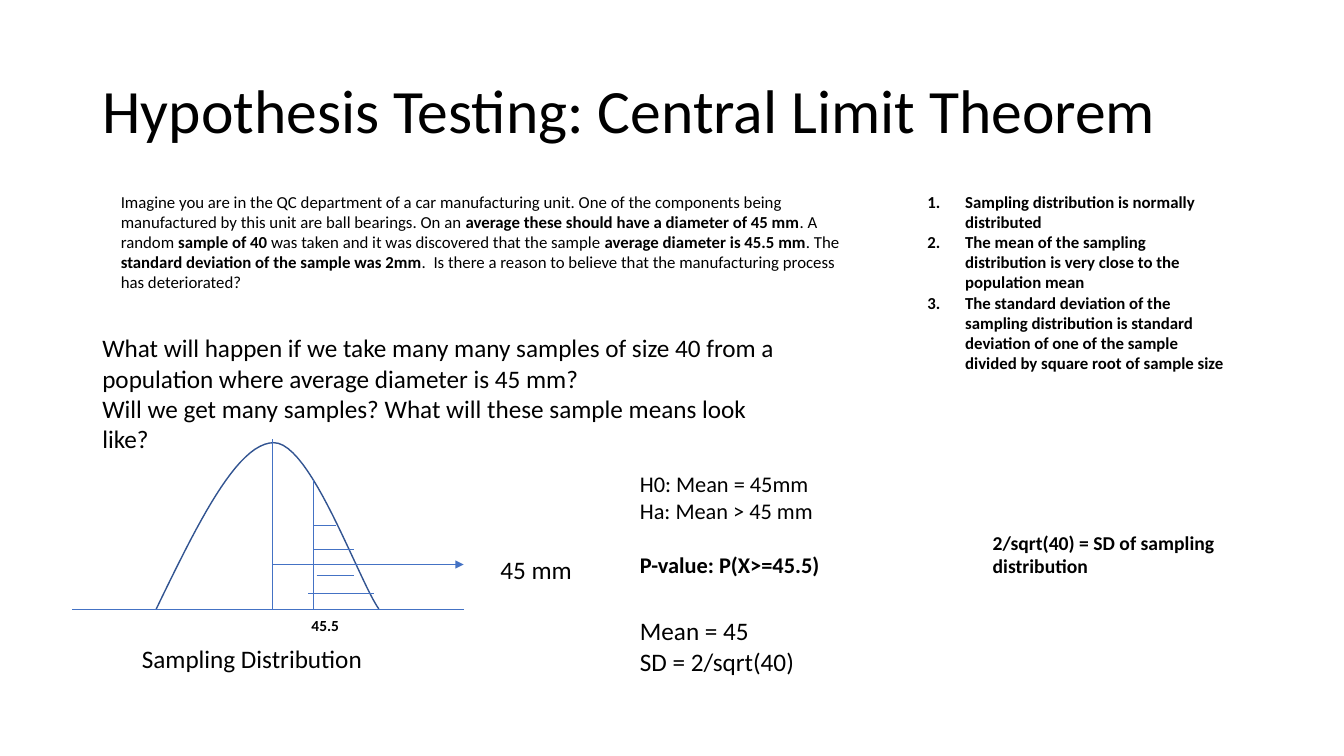
"""Build a slide on hypothesis testing with the central limit theorem."""
from dataclasses import dataclass

from lxml import etree
from pptx import Presentation
from pptx.dml.color import RGBColor
from pptx.enum.shapes import MSO_CONNECTOR
from pptx.enum.text import MSO_ANCHOR, MSO_AUTO_SIZE, PP_ALIGN
from pptx.oxml.ns import qn
from pptx.util import Emu, Pt

COLS, ROWS = 160, 90
CELL = 76200
FONT = "Calibri"
HUES = {"text": "000000", "line": "4472C4", "curve": "325491"}
STRAIGHT = MSO_CONNECTOR.STRAIGHT
MIDDLE = MSO_ANCHOR.MIDDLE
LEFT = PP_ALIGN.LEFT
FIXED = MSO_AUTO_SIZE.NONE

BASE, MEAN, CUT, END = 72.5, 32.4, 37.3, 55.2
STEPS = 24


@dataclass
class Block:
    """Text in a grid box; asterisks switch bold on and off."""
    left: float
    top: float
    width: float
    height: float
    size: float
    lines: list[str]


@dataclass
class Rule:
    """A straight line between two grid points."""
    left: float
    top: float
    right: float
    low: float
    arrow: bool = False


TITLE = Block(11, 4.8, 138, 17.4, 44, ["Hypothesis Testing: Central Limit Theorem"])
FACTS = Block(109.2, 22.2, 37.7, 25.4, 12, [
    "*Sampling distribution is normally distributed*",
    "*The mean of the sampling distribution is very close to the population mean*",
    "*The standard deviation of the sampling distribution is standard deviation "
    "of one of the sample divided by square root of sample size*",
])
TESTS = Block(75, 55.4, 34.2, 14.2, 16, [
    "H0: Mean = 45mm", "Ha: Mean > 45 mm", "*P-value: P(X>=45.5)*",
])
NOTES = [
    Block(13.2, 22.2, 88.4, 13.3, 12, [
        "Imagine you are in the QC department of a car manufacturing unit. One of the "
        "components being manufactured by this unit are ball bearings. On an *average "
        "these should have a diameter of 45 mm*. A random *sample of 40 *was taken and "
        "it was discovered that the sample *average diameter is 45.5 mm*. The *standard "
        "deviation of the sample was 2mm*.  Is there a reason to believe that the "
        "manufacturing process has deteriorated?",
    ]),
    Block(15.7, 76, 32.4, 4.8, 18, ["Sampling Distribution"]),
    Block(11, 39, 83.8, 15.7, 18, [
        "What will happen if we take many many samples of size 40 from a population "
        "where average diameter is 45 mm?",
        "Will we get many samples? What will these sample means look like?",
    ]),
    Block(58.4, 65.4, 15.4, 4.8, 18, ["45 mm"]),
    Block(117, 62.6, 34.2, 6.8, 14, ["*2/sqrt(40) = SD of sampling distribution*"]),
    Block(35.9, 72.7, 6.2, 3.5, 11, ["*45.5*"]),
    Block(75, 72.7, 24.6, 8.5, 18, ["Mean = 45", "SD = 2/sqrt(40)"]),
]
RULES = [
    Rule(8.6, BASE, END, BASE),
    Rule(MEAN, 52.3, MEAN, BASE),
    Rule(MEAN, 67.2, END, 67.2, True),
    Rule(CUT, 57.1, CUT, BASE),
    Rule(CUT, 62.6, 40, 62.6),
    Rule(37.4, 65.4, 42.1, 65.4),
    Rule(37.7, 68.5, 42.1, 68.5),
    Rule(36.7, 70.7, 44.5, 70.7),
]
BELL = [
    [(18.6, BASE), (23.4, 62.6), (28.2, 52.7), (32.6, 52.7)],
    [(32.6, 52.7), (37, 52.7), (42.6, 68.9), (45.1, BASE)],
]


def grid(cells: float) -> Emu:
    """Turn grid cells into a length."""
    return Emu(round(cells * CELL))


def tint(name: str) -> RGBColor:
    """Look up a colour by its role."""
    return RGBColor.from_string(HUES[name])


def write(shape, block: Block) -> None:
    """Place a text shape and fill it with formatted lines."""
    shape.left, shape.top = grid(block.left), grid(block.top)
    shape.width, shape.height = grid(block.width), grid(block.height)
    frame = shape.text_frame
    frame.word_wrap = True
    frame.auto_size = FIXED
    frame.text = "\n".join(line.replace("*", "") for line in block.lines)
    for para, line in zip(frame.paragraphs, block.lines):
        para.alignment = LEFT
        para.space_before = Pt(0)
        para.text = ""
        for spot, part in enumerate(line.split("*")):
            if part:
                run = para.add_run()
                run.text = part
                run.font.name = FONT
                run.font.size = Pt(block.size)
                run.font.bold = spot % 2 == 1
                run.font.color.rgb = tint("text")


def number(shape) -> None:
    """Number the paragraphs of a list."""
    for para in shape.text_frame.paragraphs:
        props = para._p.get_or_add_pPr()
        props.set("marL", str(grid(4.5)))
        props.set("indent", str(grid(-4.5)))
        etree.SubElement(props, qn("a:buFont"), typeface="+mj-lt")
        etree.SubElement(props, qn("a:buAutoNum"), type="arabicPeriod")


def add_note(slide, block: Block):
    """Add a text box for a block."""
    box = slide.shapes.add_textbox(0, 0, 0, 0)
    write(box, block)
    return box


def add_rule(slide, rule: Rule) -> None:
    """Add a thin line, with an arrowhead if asked."""
    ends = map(grid, (rule.left, rule.top, rule.right, rule.low))
    line = slide.shapes.add_connector(STRAIGHT, *ends)
    line.line.color.rgb = tint("line")
    line.line.width = Pt(0.5)
    props = line._element.spPr
    if rule.arrow:
        etree.SubElement(props.find(qn("a:ln")), qn("a:tailEnd"), type="triangle")
    etree.SubElement(props, qn("a:effectLst"))


def trace(knots: list[tuple[float, float]], part: float) -> tuple[Emu, Emu]:
    """Find the point at a share of a cubic arc."""
    rest = 1 - part
    shares = (rest**3, 3 * rest**2 * part, 3 * rest * part**2, part**3)
    across, down = (sum(s * v for s, v in zip(shares, axis)) for axis in zip(*knots))
    return grid(across), grid(down)


def add_bell(slide) -> None:
    """Draw the bell curve as a smooth open outline."""
    dots = [trace(arc, step / STEPS) for arc in BELL for step in range(STEPS + 1)]
    pen = slide.shapes.build_freeform(*dots[0])
    pen.add_line_segments(dots[1:], close=False)
    bell = pen.convert_to_shape()
    bell.shadow.inherit = False
    bell.fill.background()
    bell.line.color.rgb = tint("curve")
    bell.line.width = Pt(1)


def main() -> None:
    """Build and save the slide."""
    deck = Presentation()
    deck.slide_width, deck.slide_height = grid(COLS), grid(ROWS)
    slide = deck.slides.add_slide(deck.slide_layouts[1])
    title, facts = slide.placeholders
    write(title, TITLE)
    title.text_frame.vertical_anchor = MIDDLE
    title.text_frame.paragraphs[0].line_spacing = 0.9
    write(facts, FACTS)
    number(facts)
    for block in NOTES:
        add_note(slide, block)
    tests = add_note(slide, TESTS)
    tests.text_frame.paragraphs[-1].space_before = Pt(19.5)
    add_bell(slide)
    for rule in RULES:
        add_rule(slide, rule)
    deck.save("out.pptx")


main()
